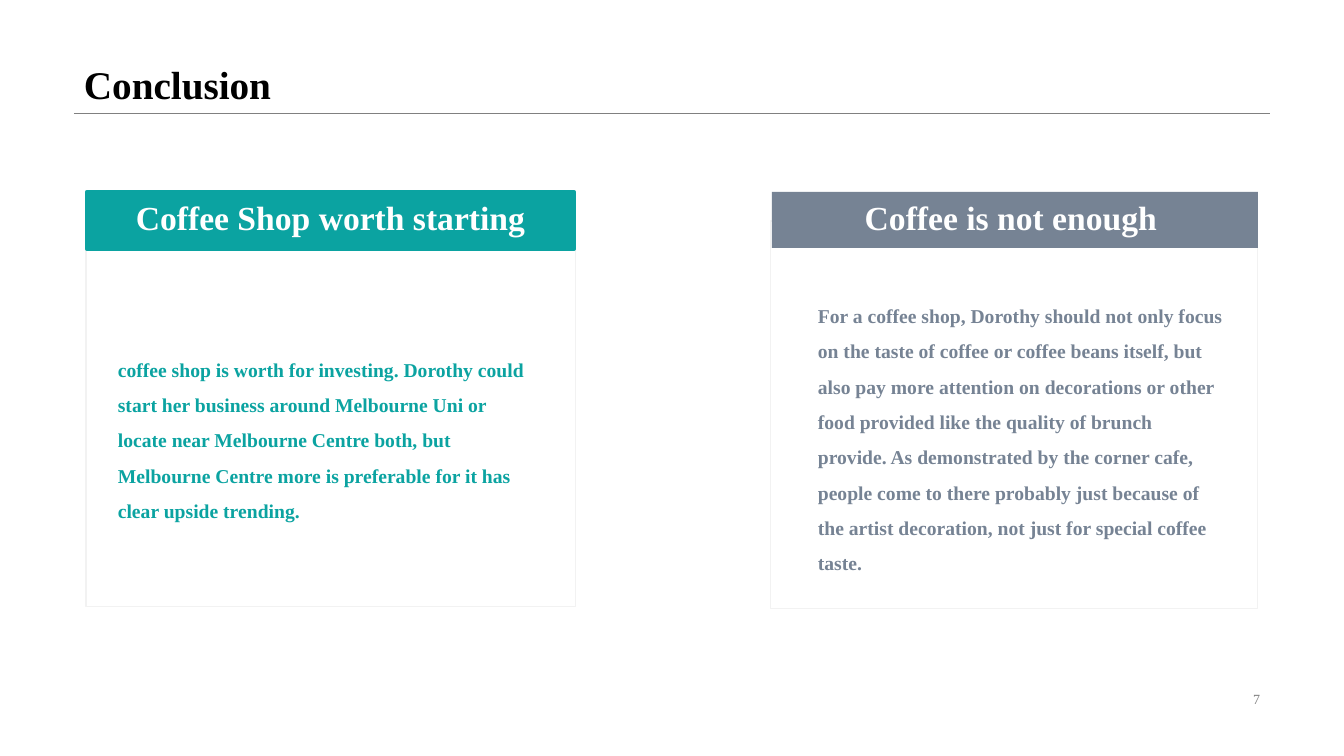
from pptx import Presentation
from pptx.dml.color import RGBColor
from pptx.enum.shapes import MSO_CONNECTOR, MSO_SHAPE
from pptx.enum.text import MSO_ANCHOR, PP_ALIGN
from pptx.oxml.ns import qn
from pptx.util import Pt
from lxml import etree

EMU_PER_PX = 914400 / 100.8
FONT = "Times New Roman"
COLORS = {
    "black": "000000",
    "white": "FFFFFF",
    "rule": "808080",
    "frame": "F2F2F2",
    "teal": "0BA3A1",
    "slate": "768394",
}


def px(*lengths):
    return [round(length * EMU_PER_PX) for length in lengths]


def write(shape, text, size, color, bold=True, align=PP_ALIGN.LEFT,
          anchor=MSO_ANCHOR.MIDDLE, spacing=1.0):
    frame = shape.text_frame
    frame.word_wrap = True
    frame.vertical_anchor = anchor
    paragraph = frame.paragraphs[0]
    paragraph.alignment = align
    paragraph.line_spacing = spacing
    run = paragraph.add_run()
    run.text = text
    for name, value in {"name": FONT, "size": Pt(size), "bold": bold}.items():
        setattr(run.font, name, value)
    run.font.color.rgb = RGBColor.from_string(COLORS[color])


presentation = Presentation()
presentation.slide_width, presentation.slide_height = px(1344, 756)
slide = presentation.slides.add_slide(presentation.slide_layouts[6])
shapes = slide.shapes

# Title, rule beneath it and page number
rule = shapes.add_connector(MSO_CONNECTOR.STRAIGHT, *px(74, 113, 1270, 113))
rule.line.color.rgb = RGBColor.from_string(COLORS["rule"])
rule.line.width = Pt(0.25)
etree.SubElement(rule._element.spPr, qn("a:effectLst"))

title = shapes.add_textbox(*px(74, 0, 1196, 113))
write(title, "Conclusion", 28, "black", anchor=MSO_ANCHOR.BOTTOM, spacing=0.9)

page_number = shapes.add_textbox(*px(950, 687, 320, 24))
write(page_number, "7", 10, "rule", bold=False, align=PP_ALIGN.RIGHT)

# Two cards: color, heading, body, then frame, heading and body boxes,
# and the width of the heading outline
cards = [
    ("teal", "Coffee Shop worth starting",
     "coffee shop is worth for investing. Dorothy could start her business "
     "around Melbourne Uni or locate near Melbourne Centre both, but "
     "Melbourne Centre more is preferable for it has clear upside trending.",
     (86, 219, 490, 388), (87, 192, 487, 57), (108, 290, 429, 288), 3),
    ("slate", "Coffee is not enough ",
     "For a coffee shop, Dorothy should not only focus on the taste of coffee "
     "or coffee beans itself, but also pay more attention on decorations or "
     "other food provided like the quality of brunch provide. As demonstrated "
     "by the corner cafe, people come to there probably just because of the "
     "artist decoration, not just for special coffee taste.",
     (771, 221, 487, 388), (772, 192, 486, 56), (808, 285, 427, 297), 0),
]
for color, heading, body, frame_box, heading_box, body_box, outline in cards:
    card = shapes.add_shape(MSO_SHAPE.RECTANGLE, *px(*frame_box))
    card.shadow.inherit = False
    card.fill.background()
    card.line.color.rgb = RGBColor.from_string(COLORS["frame"])
    card.line.width = Pt(0.75)

    banner = shapes.add_shape(MSO_SHAPE.RECTANGLE, *px(*heading_box))
    banner.shadow.inherit = False
    banner.fill.solid()
    banner.fill.fore_color.rgb = RGBColor.from_string(COLORS[color])
    if outline:
        banner.line.color.rgb = RGBColor.from_string(COLORS[color])
        banner.line.width = Pt(outline)
    else:
        banner.line.fill.background()
    write(banner, heading, 24, "white", align=PP_ALIGN.CENTER,
          anchor=MSO_ANCHOR.TOP)

    body_text = shapes.add_textbox(*px(*body_box))
    write(body_text, body, 14, color, spacing=1.5)

presentation.save("out.pptx")
